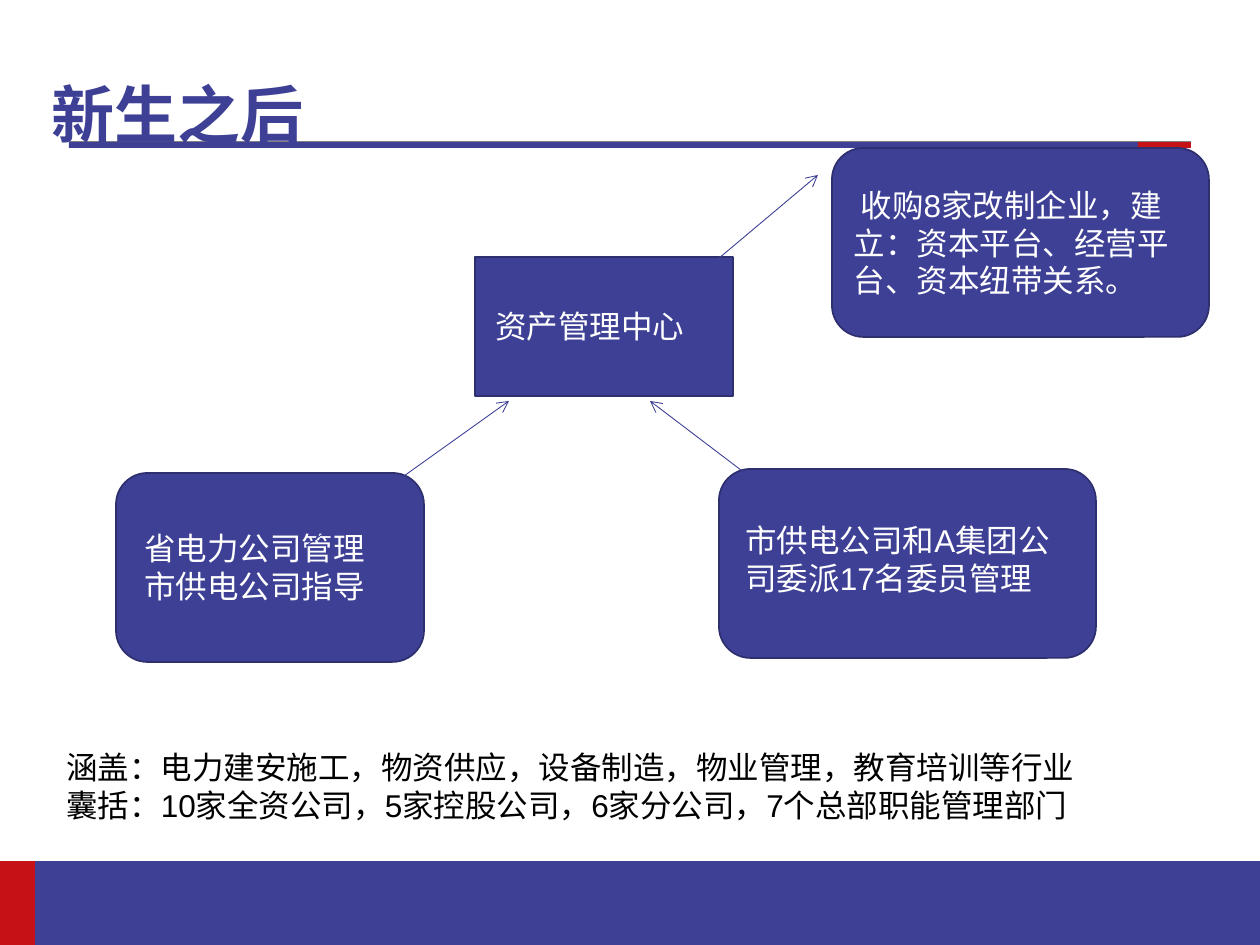
"""Build the slide on the asset management centre and its relations."""
from dataclasses import dataclass

from lxml import etree
from pptx import Presentation, util as u
from pptx.dml.color import RGBColor
from pptx.enum import shapes, text
from pptx.oxml.ns import qn

PX = 914400 / 126


@dataclass(frozen=True)
class Theme:
    """Hold the colours, font and type sizes."""
    font: str = "Arial"
    blue: str = "3E4095"
    edge: str = "2E2F6E"
    red: str = "C61116"
    grey: str = "808080"
    white: str = "FFFFFF"
    black: str = "000000"
    title: int = 36
    body: int = 18


T = Theme()


def px(*values):
    """Turn pixel lengths into EMU."""
    return [u.Emu(round(v * PX)) for v in values]


def rgb(value):
    """Return the colour for a hex string."""
    return RGBColor.from_string(value)


def write(tf, lines, color, size=T.body, bold=False):
    """Write each line as a left-aligned paragraph."""
    tf.word_wrap = True
    for i, line in enumerate(lines):
        p = tf.paragraphs[0] if i == 0 else tf.add_paragraph()
        p.alignment = text.PP_ALIGN.LEFT
        r = p.add_run()
        r.text = line
        r.font.name = T.font
        r.font.size = u.Pt(size)
        r.font.bold = bold
        r.font.color.rgb = rgb(color)


def add_block(s, kind, box, fill, edge=None):
    """Add a filled shape with an optional outline."""
    sp = s.shapes.add_shape(kind, *px(*box))
    sp.shadow.inherit = False
    sp.fill.solid()
    sp.fill.fore_color.rgb = rgb(fill)
    if edge:
        sp.line.color.rgb = rgb(edge)
        sp.line.width = u.Pt(1)
    else:
        sp.line.fill.background()
    return sp


def add_text(s, box, lines, color):
    """Add a text box that grows with its text."""
    tf = s.shapes.add_textbox(*px(*box)).text_frame
    write(tf, lines, color)
    tf.auto_size = text.MSO_AUTO_SIZE.SHAPE_TO_FIT_TEXT


def add_title(s, box, line):
    """Add the bold title, standing on the bottom of its box."""
    tf = s.shapes.add_textbox(*px(*box)).text_frame
    write(tf, [line], T.blue, T.title, True)
    tf.vertical_anchor = text.MSO_ANCHOR.BOTTOM
    tf.paragraphs[0].line_spacing = 0.9


def add_line(s, ends, color, width, arrow=False):
    """Add a straight line, with an open arrowhead at its end if asked."""
    c = s.shapes.add_connector(shapes.MSO_CONNECTOR.STRAIGHT, *px(*ends))
    c.line.color.rgb = rgb(color)
    c.line.width = u.Pt(width)
    if arrow:
        ln = c.line._get_or_add_ln()
        etree.SubElement(ln, qn("a:tailEnd"), type="arrow")
    etree.SubElement(c._element.spPr, qn("a:effectLst"))


def add_frame(s):
    """Add the rule under the title and the footer band."""
    add_line(s, (69, 141, 1191, 141), T.grey, 0.25)
    for box, color in (
        ((0, 861, 1260, 84), T.blue),
        ((0, 861, 35, 84), T.red),
        ((69, 142, 1086, 6), T.blue),
        ((1138, 142, 53, 6), T.red),
    ):
        add_block(s, shapes.MSO_SHAPE.RECTANGLE, box, color)


def main():
    """Build and save the slide."""
    prs = Presentation()
    prs.slide_width, prs.slide_height = px(1260, 945)
    s = prs.slides.add_slide(prs.slide_layouts[6])
    add_frame(s)
    add_title(s, (39, 0, 1134, 158), "新生之后")

    rounded = shapes.MSO_SHAPE.ROUNDED_RECTANGLE
    for kind, box in (
        (shapes.MSO_SHAPE.FLOWCHART_PROCESS, (475, 257, 258, 139)),
        (rounded, (116, 473, 308, 189)),
        (rounded, (719, 469, 377, 189)),
    ):
        add_block(s, kind, box, T.blue, T.edge)

    for box, lines in (
        ((483, 301, 275, 50), ["资产管理中心"]),
        ((132, 523, 275, 89), ["省电力公司管理", "市供电公司指导"]),
        ((733, 515, 348, 89), ["市供电公司和A集团公司委派17名委员管理"]),
    ):
        add_text(s, box, lines, T.white)

    for ends in (
        (699, 275, 818, 175),
        (306, 546, 509, 401),
        (858, 559, 650, 401),
    ):
        add_line(s, ends, T.blue, 0.5, arrow=True)

    add_text(s, (54, 742, 1081, 89), [
        "涵盖：电力建安施工，物资供应，设备制造，物业管理，教育培训等行业",
        "囊括：10家全资公司，5家控股公司，6家分公司，7个总部职能管理部门",
    ], T.black)

    result = add_block(s, rounded, (832, 148, 377, 189), T.blue, T.edge)
    write(result.text_frame,
          [" 收购8家改制企业，建立：资本平台、经营平台、资本纽带关系。"], T.white)
    result.text_frame.vertical_anchor = text.MSO_ANCHOR.MIDDLE
    prs.save("out.pptx")


if __name__ == "__main__":
    main()
